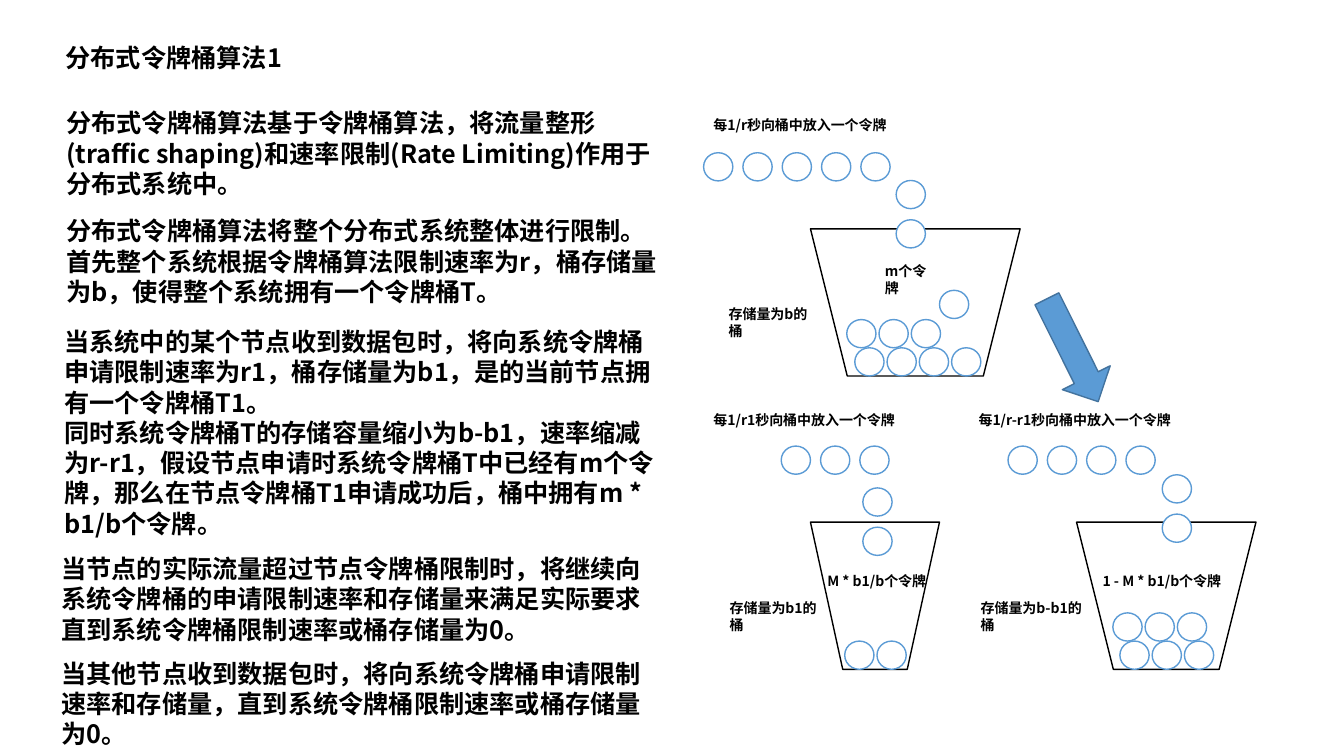
from pptx import Presentation
from pptx.dml.color import RGBColor
from pptx.enum.shapes import MSO_SHAPE
from pptx.enum.text import MSO_ANCHOR, MSO_AUTO_SIZE, PP_ALIGN
from pptx.oxml.ns import qn
from pptx.util import Inches, Pt
from lxml.etree import SubElement

BLACK = RGBColor(0x00, 0x00, 0x00)
WHITE = RGBColor(0xFF, 0xFF, 0xFF)
BLUE = RGBColor(0x5B, 0x9B, 0xD5)
NAVY = RGBColor(0x43, 0x73, 0x9E)
FACE = "Noto Sans CJK SC"
COLS, ROWS = 133.33, 75
CELL = Inches(0.1)


class Board:
    """Draws styled elements on one slide, measured in grid cells."""

    def __init__(self, deck):
        deck.slide_width, deck.slide_height = self.cells(COLS, ROWS)
        self.slide = deck.slides.add_slide(deck.slide_layouts[5])

    def cells(self, *spans):
        return [round(span * CELL) for span in spans]

    def fill(self, box, lines, size):
        frame = box.text_frame
        frame.word_wrap = True
        frame.auto_size = MSO_AUTO_SIZE.NONE
        frame.vertical_anchor = MSO_ANCHOR.TOP
        frame.text = "\n".join(lines)
        for para in frame.paragraphs:
            para.alignment = PP_ALIGN.LEFT
            font = para.font
            font.name, font.size, font.bold = FACE, Pt(size), True
            font.color.rgb = BLACK
            SubElement(font._element, qn("a:ea")).set("typeface", FACE)

    def title(self, x, y, wide, high, words):
        box = self.slide.shapes.title
        box.left, box.top, box.width, box.height = self.cells(x, y, wide, high)
        self.fill(box, [words], 18)

    def text(self, x, y, wide, high, lines, size=18):
        box = self.slide.shapes.add_textbox(*self.cells(x, y, wide, high))
        self.fill(box, lines, size)

    def note(self, x, y, high, lines):
        self.text(x, y, 60.9, high, lines)

    def label(self, x, y, wide, words):
        self.text(x, y, wide, 2.7, [words], 10)

    def shape(self, kind, x, y, wide, high, fill, line, turn=0):
        item = self.slide.shapes.add_shape(kind, *self.cells(x, y, wide, high))
        item.shadow.inherit = False
        item.fill.solid()
        item.fill.fore_color.rgb = fill
        item.line.color.rgb = line
        item.line.width = Pt(1)
        item.rotation = turn

    def tokens(self, x, y, count, across=3.2, down=0):
        for i in range(count):
            self.shape(MSO_SHAPE.OVAL, x + i * across, y + i * down,
                       2.9, 2.8, WHITE, BLUE)

    def bucket(self, x, y, wide, heap, feed, drop):
        self.shape(MSO_SHAPE.TRAPEZOID, x, y, wide, 14.6, WHITE, BLACK, 180)
        for level, (left, count) in enumerate(heap):
            self.tokens(left, y + 11.8 - 2.8 * level, count)
        left, count = feed
        self.tokens(left, y - 7.55, count, 3.9)
        left, top = drop
        self.tokens(left, top, 2, 0, 3.9)


TITLE = "分布式令牌桶算法1"
NOTES = [
    (5.6, 10.2, 10.1, [
        "分布式令牌桶算法基于令牌桶算法，将流量整形(traffic shaping)和速率限制(Rate Limiting)作用于分布式系统中。"]),
    (5.6, 20.9, 10.1, [
        "分布式令牌桶算法将整个分布式系统整体进行限制。首先整个系统根据令牌桶算法限制速率为r，桶存储量为b，使得整个系统拥有一个令牌桶T。"]),
    (5.4, 31.9, 22.2, [
        "当系统中的某个节点收到数据包时，将向系统令牌桶申请限制速率为r1，桶存储量为b1，是的当前节点拥有一个令牌桶T1。",
        "同时系统令牌桶T的存储容量缩小为b-b1，速率缩减为r-r1，假设节点申请时系统令牌桶T中已经有m个令牌，那么在节点令牌桶T1申请成功后，桶中拥有m * b1/b个令牌。"]),
    (5.1, 54.4, 10.1, [
        "当节点的实际流量超过节点令牌桶限制时，将继续向系统令牌桶的申请限制速率和存储量来满足实际要求直到系统令牌桶限制速率或桶存储量为0。"]),
    (5.1, 64.8, 10.1, [
        "当其他节点收到数据包时，将向系统令牌桶申请限制速率和存储量，直到系统令牌桶限制速率或桶存储量为0。"]),
]
BUCKETS = [
    (80.4, 22.7, 20.8, [(84.8, 4), (84, 3)], (69.8, 5), (88.9, 17.9)),
    (80.4, 51.8, 12.8, [(83.8, 2)], (77.5, 3), (85.6, 48.4)),
    (106.8, 51.8, 17.8, [(111.1, 3), (110.4, 3)], (100, 4), (115.3, 47.1)),
]
LABELS = [
    (69.8, 11.1, 19.6, "每1/r秒向桶中放入一个令牌"),
    (71.3, 29.8, 11.1, "存储量为b的桶"),
    (86.8, 25.6, 6.9, "m个令牌"),
    (69.8, 40.3, 20.3, "每1/r1秒向桶中放入一个令牌"),
    (71.4, 59, 11.8, "存储量为b1的桶"),
    (81.1, 56.3, 11.8, "M * b1/b个令牌"),
    (96.1, 40.3, 21.7, "每1/r-r1秒向桶中放入一个令牌"),
    (96.3, 59, 13.2, "存储量为b-b1的桶"),
    (108.4, 56.3, 14.6, "1 - M * b1/b个令牌"),
]

deck = Presentation()
board = Board(deck)
board.title(5.5, 3.7, 23.6, 4, TITLE)
for note in NOTES:
    board.note(*note)
for bucket in BUCKETS:
    board.bucket(*bucket)
board.tokens(93.2, 28.8, 1)
for label in LABELS:
    board.label(*label)
board.shape(MSO_SHAPE.RIGHT_ARROW, 100.7, 32.1, 11.4, 5.3, BLUE, NAVY, 63.5)
deck.save("out.pptx")
